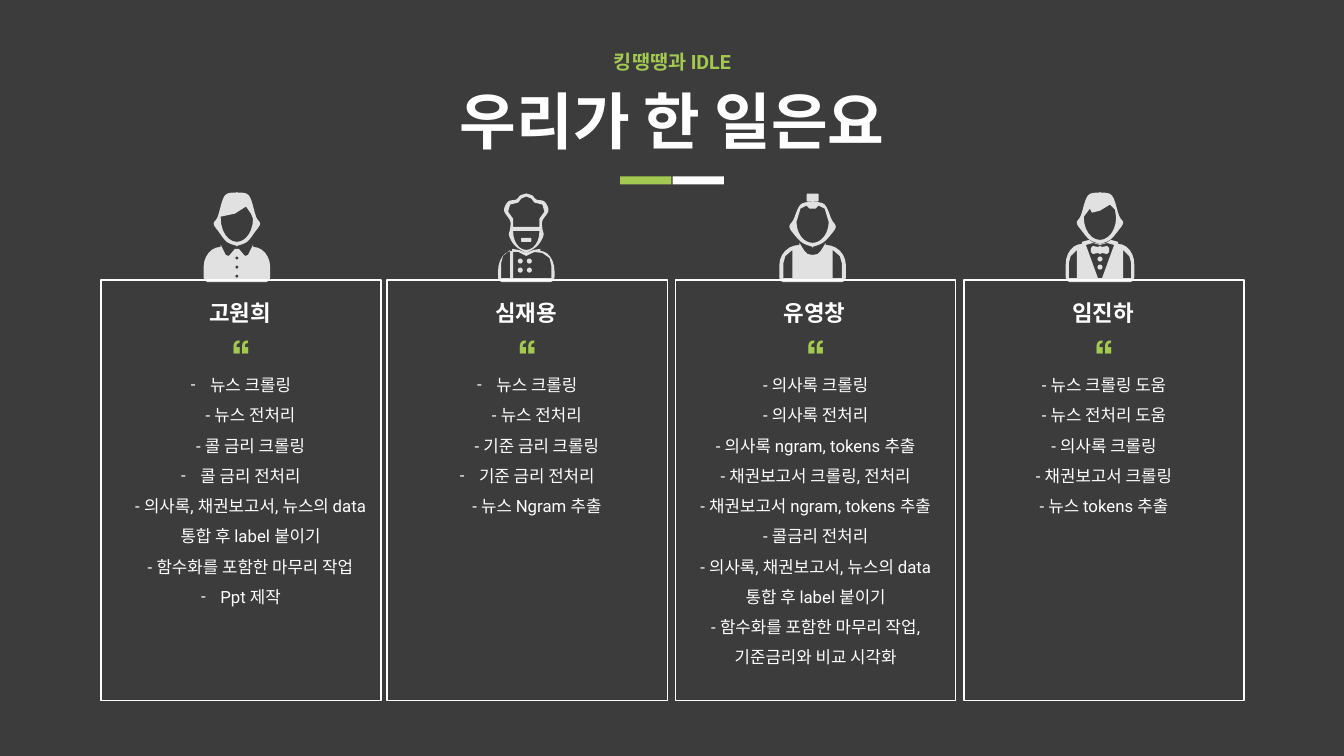
from dataclasses import dataclass
from math import cos, radians, sin
from typing import Callable

from lxml import etree
from pptx import Presentation
from pptx.dml.color import RGBColor
from pptx.enum.shapes import MSO_SHAPE
from pptx.enum.text import MSO_ANCHOR, PP_ALIGN
from pptx.oxml.ns import qn
from pptx.util import Inches, Pt

COLORS = {"background": "3C3C3C", "accent": "A3C951", "white": "FFFFFF"}
CARD_TOP, CARD_WIDTH, CARD_HEIGHT = 2.78, 2.78, 4.17
LINE_HEIGHT = 0.3
ICON_BOTTOM, HEM = 2.8, 2.76
FACE_RADIUS, RIM = 0.16, 0.04


def rgb(name):
    return RGBColor.from_string(COLORS[name])


def fill_plain(shape, color, opacity=100):
    shape.shadow.inherit = False
    shape.fill.solid()
    shape.fill.fore_color.rgb = rgb(color)
    shape.line.fill.background()
    if opacity < 100:
        tint = shape.element.spPr.find(".//" + qn("a:srgbClr"))
        etree.SubElement(tint, qn("a:alpha"), val=str(opacity * 1000))


def add_dash_bullet(paragraph):
    properties = paragraph._p.get_or_add_pPr()
    properties.set("marL", str(Inches(0.19)))
    properties.set("indent", str(Inches(-0.19)))
    bullet_color = etree.SubElement(properties, qn("a:buClr"))
    etree.SubElement(bullet_color, qn("a:srgbClr"), val=COLORS["white"])
    etree.SubElement(properties, qn("a:buFont"), typeface="Roboto")
    etree.SubElement(properties, qn("a:buChar"), char="-")


def write(frame, texts, size, font, color="white", bold=False, spacing=None,
          anchor=MSO_ANCHOR.TOP, bulleted=False):
    """Fill a text frame with centred paragraphs; a newline is a line break."""
    frame.word_wrap = True
    frame.vertical_anchor = anchor
    for index, text in enumerate(texts):
        paragraph = frame.add_paragraph() if index else frame.paragraphs[0]
        paragraph.text = text
        paragraph.alignment = PP_ALIGN.CENTER
        paragraph.line_spacing = spacing
        if bulleted:
            add_dash_bullet(paragraph)
        paragraph.font.size, paragraph.font.name = Pt(size), font
        paragraph.font.bold = bold
        paragraph.font.color.rgb = rgb(color)


def add_text(slide, box, texts, *args, **style):
    label = slide.shapes.add_textbox(*map(Inches, box))
    write(label.text_frame, texts, *args, **style)


# Icon outlines are lists of (x, y) in inches, with x counted from the icon's centre line.
def mirror(right_half):
    """Close an outline whose right half runs from top to bottom."""
    return right_half + [(-x, y) for x, y in reversed(right_half)]


def arc(x, y, rx, ry, start, end):
    return [(x + rx * cos(radians(a)), y + ry * sin(radians(a))) for a in range(start, end + 1, 15)]


def smooth(points, steps=5):
    """Run a closed Catmull-Rom curve through the points."""
    curve = []
    for i in range(len(points)):
        a, b, c, d = (points[(i + k) % len(points)] for k in (-1, 0, 1, 2))
        for t in (step / steps for step in range(steps)):
            curve.append(tuple(
                q + t * (r - p) / 2 + t * t * (2 * p - 5 * q + 4 * r - s) / 2
                + t ** 3 * (3 * q - p - 3 * r + s) / 2
                for p, q, r, s in zip(a, b, c, d)))
    return curve


def face_opening(hairline, eye_line, chin):
    """Hairline from left to right, closed by a round jaw."""
    return hairline + arc(0, eye_line, FACE_RADIUS, chin - RIM - eye_line, 0, 180)


def head(crown, ears, chin, hairline):
    profile = [(0, crown), (0.12, crown + 0.03), (0.19, ears - 0.07), (0.23, ears),
               (0.18, ears + 0.08), (0.1, chin - 0.04), (0, chin)]
    return [smooth(mirror(profile)), face_opening(hairline, ears - 0.05, chin)]


def torso(neckline, half_width):
    """Neckline from the centre outwards, then a round shoulder and a straight side."""
    neck, top = neckline[-1]
    shoulder = arc(neck, top + 0.22, half_width - neck, 0.2, -90, 0)
    corner = arc(half_width - 0.05, ICON_BOTTOM - 0.05, 0.05, 0.05, 0, 90)
    return mirror(neckline + shoulder + corner)


def sleeve(inner, outer, side):
    return [(side * x, y) for x, y in
            ((inner, 2.48), (outer - 0.02, 2.54), (outer, 2.61), (outer, HEM), (inner, HEM))]


def add_part(icon, center, contours):
    """Draw contours as one shape; inner contours become holes."""
    placed = [[(Inches(center + x), Inches(y)) for x, y in contour] for contour in contours]
    builder = icon.build_freeform(*placed[0][0])
    for number, points in enumerate(placed):
        if number:
            builder.move_to(*points[0])
        builder.add_line_segments(points[1:], close=True)
    fill_plain(builder.convert_to_shape(), "white", 85)


def add_preset(icon, preset, left, top, width, height):
    fill_plain(icon.add_shape(preset, *map(Inches, (left, top, width, height))), "white", 85)


def add_button(icon, x, y, diameter=0.05):
    add_preset(icon, MSO_SHAPE.OVAL, x - diameter / 2, y - diameter / 2, diameter, diameter)


def draw_shirt_wearer(icon, center):
    fringe = [(-0.16, 2.15), (-0.02, 2.12), (0.09, 2.05), (0.14, 2.12)]
    collar = [(0, 2.47), (0.02, 2.47), (0.08, 2.54), (0.11, 2.53), (0.16, 2.43)]
    button_holes = [arc(0, y, 0.015, 0.015, 0, 345) for y in (2.56, 2.65, 2.74)]
    add_part(icon, center, head(1.91, 2.22, 2.44, fringe))
    add_part(icon, center, [torso(collar, 0.33), *button_holes])


def draw_chef(icon, center):
    hat_and_beard = [(0, 1.92), (0.06, 1.94), (0.1, 1.98), (0.18, 2), (0.22, 2.09), (0.16, 2.19),
                     (0.16, 2.27), (0.17, 2.34), (0.11, 2.44), (0, 2.51)]
    hat_opening = [(0, 1.95), (0.05, 1.97), (0.08, 2.01), (0.16, 2.03), (0.18, 2.1), (0.13, 2.17),
                   (0.13, 2.25)]
    brim = [(-0.13, 2.29), (0.13, 2.29)]
    beard_opening = brim + arc(0, 2.3, 0.13, 0.18, 0, 180)
    front = [(-0.13, 2.5), (-0.08, 2.5), (0, 2.54), (0.08, 2.5), (0.16, 2.51), (0.23, 2.56),
             (0.25, 2.64), (0.25, HEM), (-0.13, HEM)]
    add_part(icon, center, [smooth(mirror(hat_and_beard)), mirror(hat_opening), beard_opening])
    add_part(icon, center, [torso([(0, 2.51), (0.07, 2.48), (0.14, 2.47)], 0.28),
                            sleeve(0.16, 0.25, -1), front])
    add_preset(icon, MSO_SHAPE.ROUNDED_RECTANGLE, center - 0.05, 2.36, 0.1, 0.04)
    for x in (-0.06, 0.03):
        for y in (2.59, 2.68):
            add_button(icon, center + x, y)


def draw_topknot_wearer(icon, center):
    hairline = [(-0.15, 2.17), (-0.12, 2.07), (-0.06, 2.04), (-0.03, 2.07),
                (0.03, 2.07), (0.06, 2.04), (0.12, 2.07), (0.15, 2.17)]
    neckline = [(0, 2.53), (0.05, 2.52), (0.08, 2.49), (0.13, 2.41)]
    add_preset(icon, MSO_SHAPE.ROUNDED_RECTANGLE, center - 0.06, 1.92, 0.12, 0.08)
    add_part(icon, center, head(2, 2.25, 2.45, hairline))
    add_part(icon, center, [torso(neckline, 0.33), sleeve(0.2, 0.29, -1), sleeve(0.2, 0.29, 1)])


def draw_tuxedo_wearer(icon, center):
    fringe = [(-0.16, 2.15), (-0.1, 2.07), (-0.08, 2.11), (0, 2.09), (0.1, 2.03), (0.15, 2.08)]
    neckline = [(0, 2.42), (0.06, 2.41), (0.11, 2.38), (0.18, 2.4)]
    shirt_front = mirror([(0, 2.43), (0.07, 2.41), (0.14, 2.43), (0.02, HEM)])
    bow_tie = mirror([(0, 2.44), (0.02, 2.45), (0.07, 2.44), (0.09, 2.46), (0.09, 2.5),
                      (0.07, 2.52), (0.02, 2.51), (0, 2.52)])
    add_part(icon, center, head(1.91, 2.21, 2.42, fringe))
    add_part(icon, center, [torso(neckline, 0.34), shirt_front,
                            sleeve(0.23, 0.31, -1), sleeve(0.23, 0.31, 1)])
    add_part(icon, center, [bow_tie])
    for y in (2.57, 2.65):
        add_button(icon, center, y)


@dataclass
class Member:
    name: str
    card_left: float
    icon_center: float
    draw_icon: Callable
    line_count: int
    tasks: list
    bulleted: bool = False


MEMBERS = [
    Member("고원희", 1, 2.35, draw_shirt_wearer, 8, [
        "뉴스 크롤링\n- 뉴스 전처리\n- 콜 금리 크롤링",
        "콜 금리 전처리\n- 의사록, 채권보고서, 뉴스의 data 통합 후 label 붙이기\n- 함수화를 포함한 마무리 작업",
        "Ppt 제작"], bulleted=True),
    Member("심재용", 3.84, 5.22, draw_chef, 5, [
        "뉴스 크롤링\n- 뉴스 전처리\n- 기준 금리 크롤링",
        "기준 금리 전처리\n- 뉴스 Ngram 추출"], bulleted=True),
    Member("유영창", 6.7, 8.06, draw_topknot_wearer, 10, [
        "- 의사록 크롤링\n- 의사록 전처리\n- 의사록 ngram, tokens 추출\n- 채권보고서 크롤링, 전처리\n"
        "- 채권보고서 ngram, tokens 추출\n- 콜금리 전처리\n"
        "- 의사록, 채권보고서, 뉴스의 data 통합 후 label 붙이기\n"
        "- 함수화를 포함한 마무리 작업, 기준금리와 비교 시각화"]),
    Member("임진하", 9.56, 10.91, draw_tuxedo_wearer, 5, [
        "- 뉴스 크롤링 도움\n- 뉴스 전처리 도움\n- 의사록 크롤링\n- 채권보고서 크롤링\n- 뉴스 tokens 추출"]),
]


def add_member(slide, member):
    left = member.card_left
    card = slide.shapes.add_shape(
        MSO_SHAPE.RECTANGLE, *map(Inches, (left, CARD_TOP, CARD_WIDTH, CARD_HEIGHT)))
    card.shadow.inherit = False
    card.fill.background()
    card.line.color.rgb, card.line.width = rgb("white"), Pt(1)
    add_text(slide, (left, 3.57, CARD_WIDTH, 0.1 + LINE_HEIGHT * member.line_count),
             member.tasks, 12, "Roboto", spacing=1.5, bulleted=member.bulleted)
    add_text(slide, (left + 0.18, 2.92, 2.4, 0.37), [member.name], 16, "Manrope", bold=True)
    add_text(slide, (left + 1.09, 3.19, 0.6, 0.71), ["“"], 36, "Manrope", "accent",
             bold=True, anchor=MSO_ANCHOR.MIDDLE)
    member.draw_icon(slide.shapes.add_group_shape().shapes, member.icon_center)


def add_heading(slide):
    style = {"bold": True, "spacing": 0.9, "anchor": MSO_ANCHOR.MIDDLE}
    title = slide.shapes.title
    title.left, title.top, title.width, title.height = map(Inches, (0.92, 0.63, 11.5, 1.22))
    write(title.text_frame, ["우리가 한 일은요"], 44, "Manrope", **style)
    add_text(slide, (0.92, 0.43, 11.5, 0.4), ["킹땡땡과 IDLE"], 14, "Roboto", "accent", **style)
    for left, color in ((6.15, "accent"), (6.67, "white")):
        bar = slide.shapes.add_shape(MSO_SHAPE.RECTANGLE, *map(Inches, (left, 1.75, 0.51, 0.08)))
        fill_plain(bar, color)


def main():
    deck = Presentation()
    deck.slide_width, deck.slide_height = Inches(13.33), Inches(7.5)
    slide = deck.slides.add_slide(deck.slide_layouts.get_by_name("Title Only"))
    slide.background.fill.solid()
    slide.background.fill.fore_color.rgb = rgb("background")
    add_heading(slide)
    for member in MEMBERS:
        add_member(slide, member)
    deck.save("out.pptx")


if __name__ == "__main__":
    main()
